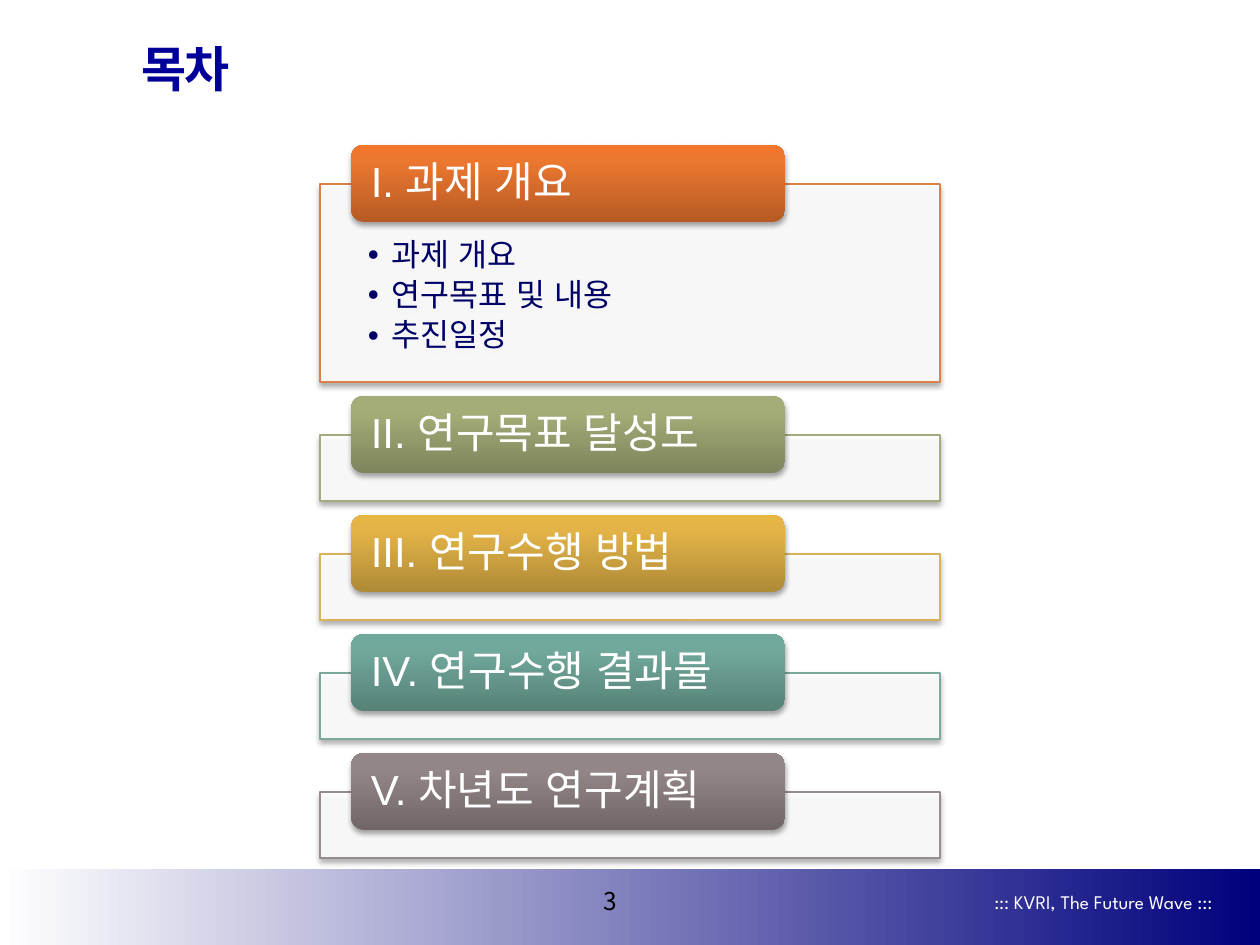
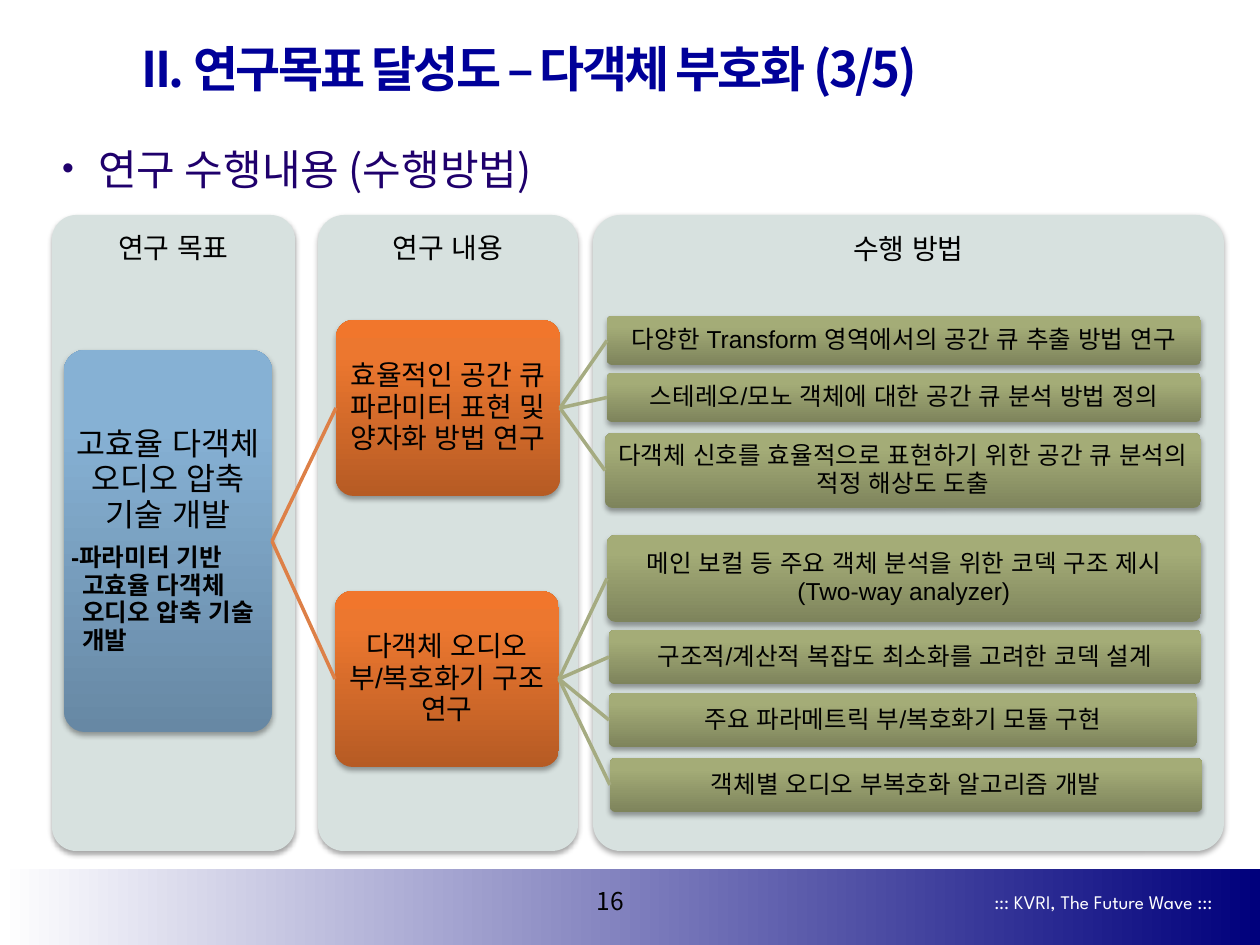
from dataclasses import dataclass

from lxml import etree
from pptx import Presentation
from pptx import util as u
from pptx.dml.color import RGBColor
from pptx.enum import shapes, text
from pptx.oxml.ns import qn

EMU_PER_PX = 914400 / 126
NOTO, ARIAL, SPARTAN = "Noto Sans CJK KR", "Arial", "League Spartan"
BLACK, WHITE, NAVY = "000000", "FFFFFF", "00007C"
TITLE_BLUE, ITEM_BLUE, BULLET_PURPLE, PANEL = "000099", "000066", "1F006C", "D7E1DF"
CENTER, LEFT, RIGHT = text.PP_ALIGN.CENTER, text.PP_ALIGN.LEFT, text.PP_ALIGN.RIGHT
TOP, MIDDLE = text.MSO_ANCHOR.TOP, text.MSO_ANCHOR.MIDDLE
RECT, ROUNDED = shapes.MSO_SHAPE.RECTANGLE, shapes.MSO_SHAPE.ROUNDED_RECTANGLE
TIGHT = (1, 1, 1, 1)
LINE_SPACING = 0.94


@dataclass(frozen=True)
class Accent:
    line: str
    dark: str
    middle: str
    light: str

    @property
    def stops(self) -> list:
        return [(0, self.dark), (80, self.middle), (100, self.light)]


ORANGE = Accent("DD8047", "B65B24", "EC772F", "F1762C")
OLIVE = Accent("A5AB81", "7E845C", "A4AC77", "A6AE76")
GOLD = Accent("D8B25C", "AF8A37", "E3B347", "E7B544")
TEAL = Accent("7BA79D", "578278", "71A89C", "70AA9D")
TAUPE = Accent("968C8C", "716767", "938686", "948787")
BLUE = Accent("94B6D2", "6788A4", "86B1D4", "86B2D7")


@dataclass(frozen=True)
class Box:
    left: int
    top: int
    width: int
    height: int

    @property
    def emu(self) -> list:
        return [px(n) for n in (self.left, self.top, self.width, self.height)]


@dataclass(frozen=True)
class Style:
    size: int
    color: str
    font: str = ARIAL
    bold: bool = False
    align: text.PP_ALIGN = LEFT
    spacing: float = LINE_SPACING
    after: float = 0
    tracking: int = 0
    hang: int = 0
    bullet: str = ""
    bullet_size: int = 100


@dataclass(frozen=True)
class Section:
    heading: str
    accent: Accent
    items: tuple = ()


@dataclass(frozen=True)
class Method:
    words: str
    box: Box


@dataclass(frozen=True)
class Topic:
    words: str
    box: Box
    methods: tuple


SECTIONS = (
    Section("I. 과제 개요", ORANGE, ("과제 개요", "연구목표 및 내용", "추진일정")),
    Section("II. 연구목표 달성도", OLIVE),
    Section("III. 연구수행 방법", GOLD),
    Section("IV. 연구수행 결과물", TEAL),
    Section("V. 차년도 연구계획", TAUPE),
)
PANELS = (("연구 목표", 52, 243, 0.1), ("연구 내용", 318, 260, 0.1), ("수행 방법", 593, 631, 0.044))
TOPICS = (
    Topic("효율적인 공간 큐 파라미터 표현 및 양자화 방법 연구", Box(336, 320, 224, 176), (
        Method("다양한 Transform 영역에서의 공간 큐 추출 방법 연구", Box(607, 316, 594, 49)),
        Method("스테레오/모노 객체에 대한 공간 큐 분석 방법 정의", Box(607, 373, 594, 49)),
        Method("다객체 신호를 효율적으로 표현하기 위한 공간 큐 분석의 적정 해상도 도출",
               Box(605, 433, 596, 75)),
    )),
    Topic("다객체 오디오 부/복호화기 구조 연구", Box(335, 591, 224, 176), (
        Method("메인 보컬 등 주요 객체 분석을 위한 코덱 구조 제시\n(Two-way analyzer)",
               Box(607, 535, 594, 87)),
        Method("구조적/계산적 복잡도 최소화를 고려한 코덱 설계", Box(609, 630, 592, 54)),
        Method("주요 파라메트릭 부/복호화기 모듈 구현", Box(609, 693, 588, 54)),
        Method("객체별 오디오 부복호화 알고리즘 개발", Box(610, 758, 592, 54)),
    )),
)


def px(count: float) -> u.Emu:
    return u.Emu(round(count * EMU_PER_PX))


def rgb(value: str) -> RGBColor:
    return RGBColor.from_string(value)


def write(frame, lines: list, anchor=MIDDLE, insets=(13, 6, 13, 6)) -> None:
    """Fill a text frame with (words, style) paragraphs; insets run left, top, right, bottom."""
    frame.word_wrap = True
    frame.auto_size = text.MSO_AUTO_SIZE.NONE
    frame.vertical_anchor = anchor
    (frame.margin_left, frame.margin_top,
     frame.margin_right, frame.margin_bottom) = map(px, insets)
    for index, (words, style) in enumerate(lines):
        para = frame.paragraphs[0] if index == 0 else frame.add_paragraph()
        para.alignment = style.align
        para.line_spacing = style.spacing
        para.space_before = u.Pt(0)
        para.space_after = u.Pt(style.after)
        properties = para._p.get_or_add_pPr()
        if style.hang:
            properties.set("marL", str(px(style.hang)))
            properties.set("indent", str(-px(style.hang)))
        if style.bullet:
            etree.SubElement(properties, qn("a:buSzPct"), val=str(style.bullet_size * 1000))
            etree.SubElement(properties, qn("a:buFont"), typeface=ARIAL)
            etree.SubElement(properties, qn("a:buChar"), char=style.bullet)
        for number, part in enumerate(words.split("\n")):
            if number:
                para.add_line_break()
            span = para.add_run()
            span.text = part
            span.font.size = u.Pt(style.size)
            span.font.bold = style.bold
            span.font.name = style.font
            span.font.color.rgb = rgb(style.color)
            run_properties = span.font._element
            etree.SubElement(run_properties, qn("a:ea"), typeface=style.font)
            if style.tracking:
                run_properties.set("spc", str(style.tracking))


def add_label(page, box: Box, words: str, style: Style, **layout) -> None:
    write(page.shapes.add_textbox(*box.emu).text_frame, [(words, style)], **layout)


def add_block(page, kind, box: Box, radius: float | None = None):
    """Add an unlined shape without a shadow."""
    block = page.shapes.add_shape(kind, *box.emu)
    block.shadow.inherit = False
    block.line.fill.background()
    if radius is not None:
        block.adjustments[0] = radius
    return block


def fill_solid(block, color: str, opacity: int = 100) -> None:
    block.fill.solid()
    block.fill.fore_color.rgb = rgb(color)
    if opacity < 100:
        tone = block._element.spPr.find(qn("a:solidFill")).find(qn("a:srgbClr"))
        etree.SubElement(tone, qn("a:alpha"), val=str(opacity * 1000))


def fill_gradient(block, stops: list, angle: int = 90) -> None:
    block.fill.gradient()
    block.fill.gradient_angle = angle
    stop_list = block._element.spPr.find(".//" + qn("a:gsLst"))
    for stop in list(stop_list):
        stop_list.remove(stop)
    for position, color in stops:
        stop = etree.SubElement(stop_list, qn("a:gs"), pos=str(position * 1000))
        etree.SubElement(stop, qn("a:srgbClr"), val=color)


def cast_shadow(block) -> None:
    effects = block._element.spPr.find(qn("a:effectLst"))
    shadow = etree.SubElement(effects, qn("a:outerShdw"), blurRad=str(u.Pt(3.1)),
                              dist=str(u.Pt(1.8)), dir="5400000", rotWithShape="0")
    tone = etree.SubElement(shadow, qn("a:srgbClr"), val=BLACK)
    etree.SubElement(tone, qn("a:alpha"), val="35000")


def add_card(page, box: Box, accent: Accent, lines: list,
             radius: float | None = 0.1, insets=TIGHT):
    card = add_block(page, ROUNDED, box, radius)
    fill_gradient(card, accent.stops)
    cast_shadow(card)
    write(card.text_frame, lines, insets=insets)
    return card


def link(page, source, target, accent: Accent) -> None:
    """Join the right side of one card to the left side of another."""
    line = page.shapes.add_connector(shapes.MSO_CONNECTOR.STRAIGHT, 0, 0, 0, 0)
    line.begin_connect(source, 3)
    line.end_connect(target, 1)
    line.line.color.rgb = rgb(accent.line)
    line.line.width = u.Pt(2)
    etree.SubElement(line._element.spPr, qn("a:effectLst"))


def add_page(deck, title: str, number: int):
    """Add a slide with its title, footer band and page number."""
    page = deck.slides.add_slide(deck.slide_layouts[5])
    band = add_block(page, RECT, Box(0, 869, 1260, 76))
    fill_gradient(band, [(0, WHITE), (100, NAVY)], angle=0)
    add_label(page, Box(959, 884, 267, 35), "::: KVRI, The Future Wave :::",
              Style(11, WHITE, SPARTAN, align=RIGHT, spacing=1))
    add_label(page, Box(571, 880, 79, 42), str(number),
              Style(14, BLACK, NOTO, align=CENTER, spacing=1))
    heading = page.shapes.title
    heading.left, heading.top, heading.width, heading.height = Box(129, 29, 984, 78).emu
    write(heading.text_frame,
          [(title, Style(28, TITLE_BLUE, NOTO, bold=True, spacing=1, tracking=-150))])
    return page


def build_contents(deck) -> None:
    page = add_page(deck, "목차", 3)
    item_style = Style(18, ITEM_BLUE, after=2.7, hang=24, bullet="•")
    tab_height, gap = 77, 14
    top = 145
    for section in SECTIONS:
        body = Box(320, top + 39, 620, 198 if section.items else 66)
        frame = add_block(page, RECT, body)
        fill_solid(frame, WHITE, opacity=90)
        frame.line.color.rgb = rgb(section.accent.line)
        frame.line.width = u.Pt(0.75)
        cast_shadow(frame)
        if section.items:
            write(frame.text_frame, [(item, item_style) for item in section.items],
                  anchor=TOP, insets=(48, 54, 48, 18))
        add_card(page, Box(351, top, 434, tab_height), section.accent,
                 [(section.heading, Style(24, WHITE))], radius=None, insets=(16, 0, 16, 0))
        top = body.top + body.height + gap


def build_methods(deck) -> None:
    page = add_page(deck, "II. 연구목표 달성도 – 다객체 부호화 (3/5)", 16)
    add_label(page, Box(49, 137, 1177, 70), "연구 수행내용 (수행방법)",
              Style(24, BULLET_PURPLE, NOTO, spacing=1, hang=36, bullet="•", bullet_size=80),
              anchor=TOP)
    topic_style = Style(16, BLACK, align=CENTER)
    method_style = Style(14, BLACK, align=CENTER)
    for words, left, width, radius in PANELS:
        panel = add_block(page, ROUNDED, Box(left, 215, width, 636), radius)
        fill_solid(panel, PANEL)
        cast_shadow(panel)
        write(panel.text_frame, [(words, topic_style)], anchor=TOP, insets=(20, 11, 20, 20))
    goal = add_card(page, Box(64, 350, 208, 382), BLUE, [
        ("고효율 다객체 오디오 압축 기술 개발", Style(18, BLACK, align=CENTER, after=6.3)),
        ("-파라미터 기반 고효율 다객체 오디오 압축 기술 개발",
         Style(14, BLACK, bold=True, hang=11)),
    ])
    for topic in TOPICS:
        topic_card = add_card(page, topic.box, ORANGE, [(topic.words, topic_style)])
        link(page, goal, topic_card, ORANGE)
        for method in topic.methods:
            method_card = add_card(page, method.box, OLIVE, [(method.words, method_style)])
            link(page, topic_card, method_card, OLIVE)


def main() -> None:
    deck = Presentation()
    deck.slide_width, deck.slide_height = px(1260), px(945)
    build_contents(deck)
    build_methods(deck)
    deck.save("out.pptx")


if __name__ == "__main__":
    main()
